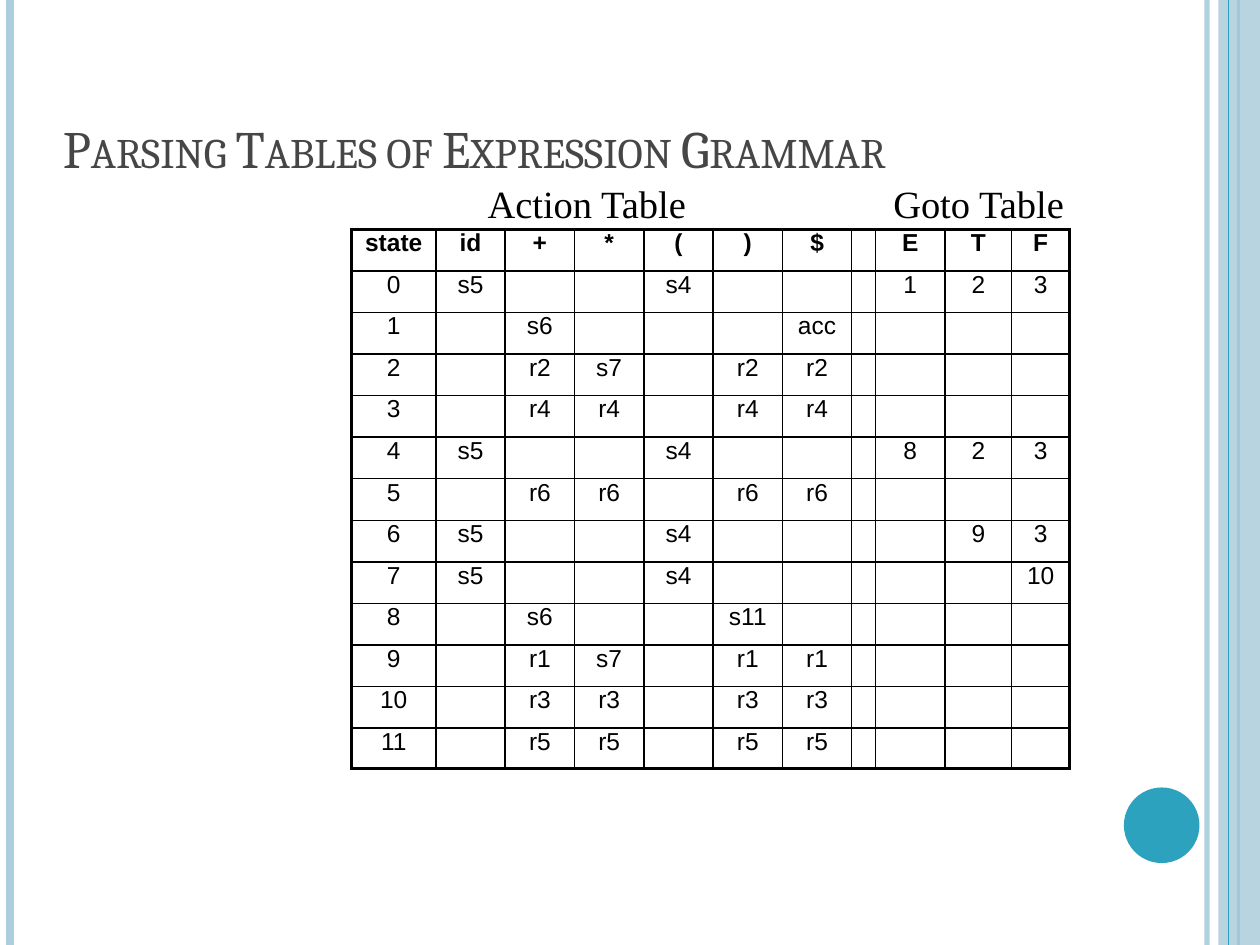
from dataclasses import dataclass

from lxml.etree import SubElement
from pptx import Presentation
from pptx.dml.color import RGBColor
from pptx.enum.shapes import MSO_CONNECTOR, MSO_SHAPE
from pptx.enum.text import MSO_ANCHOR, PP_ALIGN
from pptx.oxml.ns import qn
from pptx.util import Inches, Pt

COLORS = {"pale": "ADCEDC", "teal": "2DA2BF", "title": "464646", "ink": "000000"}
THIN, THICK = 1, 2.25
COL_WIDTHS = [0.67] + [0.55] * 6 + [0.19, 0.55, 0.53, 0.46]
ROW_HEIGHTS = [0.33] * 12 + [0.32]
HEADER = ["state", "id", "+", "*", "(", ")", "$", "", "E", "T", "F"]
STATES = [
    {"id": "s5", "(": "s4", "E": "1", "T": "2", "F": "3"},
    {"+": "s6", "$": "acc"},
    {"+": "r2", "*": "s7", ")": "r2", "$": "r2"},
    {"+": "r4", "*": "r4", ")": "r4", "$": "r4"},
    {"id": "s5", "(": "s4", "E": "8", "T": "2", "F": "3"},
    {"+": "r6", "*": "r6", ")": "r6", "$": "r6"},
    {"id": "s5", "(": "s4", "T": "9", "F": "3"},
    {"id": "s5", "(": "s4", "F": "10"},
    {"+": "s6", ")": "s11"},
    {"+": "r1", "*": "s7", ")": "r1", "$": "r1"},
    {"+": "r3", "*": "r3", ")": "r3", "$": "r3"},
    {"+": "r5", "*": "r5", ")": "r5", "$": "r5"},
]


@dataclass
class Stripe:
    x: float
    width: float
    color: str
    alpha: int = 100


@dataclass
class Label:
    text: str
    x: float
    y: float
    w: float
    h: float
    size: int
    font: str
    color: str = "ink"
    small_caps: bool = False


OUTER_STRIPES = [Stripe(9.58, 3, "pale", 93), Stripe(0.08, 4.5, "pale"), Stripe(9.83, 1.5, "teal")]
INNER_STRIPE = Stripe(9.75, 0.75, "teal")
TITLE = Label("Parsing Tables of Expression Grammar", 0.5, 0.3, 8.17, 1.12, 30, "Cambria", "title", True)
CAPTIONS = [
    Label("Action Table", 3.87, 1.43, 1.61, 0.37, 22, "Times New Roman"),
    Label("Goto Table", 7.09, 1.43, 1.4, 0.37, 22, "Times New Roman"),
]


def rgb(name: str) -> RGBColor:
    return RGBColor.from_string(COLORS[name])


def set_alpha(element, percent: int) -> None:
    clr = next(element.iter(qn("a:srgbClr")))
    SubElement(clr, qn("a:alpha"), val=str(percent * 1000))


def add_stripe(s, stripe: Stripe) -> None:
    x = Inches(stripe.x)
    line = s.shapes.add_connector(MSO_CONNECTOR.STRAIGHT, x, 0, x, Inches(7.5))
    line.line.color.rgb = rgb(stripe.color)
    line.line.width = Pt(stripe.width)
    if stripe.alpha < 100:
        set_alpha(line.line._ln, stripe.alpha)
    SubElement(line._element.spPr, qn("a:effectLst"))


def add_solid(s, kind, x: float, y: float, w: float, h: float, color: str):
    sp = s.shapes.add_shape(kind, Inches(x), Inches(y), Inches(w), Inches(h))
    sp.shadow.inherit = False
    sp.fill.solid()
    sp.fill.fore_color.rgb = rgb(color)
    sp.line.fill.background()
    return sp


def add_run(p, text: str, size: int, font: str, color: str, bold: bool = False):
    r = p.add_run()
    r.text = text
    r.font.size = Pt(size)
    r.font.name = font
    r.font.bold = bold
    r.font.color.rgb = rgb(color)
    return r


def add_label(s, label: Label) -> None:
    sp = s.shapes.add_textbox(Inches(label.x), Inches(label.y), Inches(label.w), Inches(label.h))
    tf = sp.text_frame
    tf.word_wrap = True
    tf.margin_left = tf.margin_right = tf.margin_top = tf.margin_bottom = 0
    if label.small_caps:
        tf.vertical_anchor = MSO_ANCHOR.BOTTOM
    r = add_run(tf.paragraphs[0], label.text, label.size, label.font, label.color)
    if label.small_caps:
        r._r.get_or_add_rPr().set("cap", "small")


def set_borders(cell, widths: dict[str, float]) -> None:
    tcPr = cell._tc.get_or_add_tcPr()
    for side, width in widths.items():
        ln = SubElement(tcPr, qn(f"a:ln{side}"), w=str(Pt(width)))
        fill = SubElement(ln, qn("a:solidFill"))
        SubElement(fill, qn("a:srgbClr"), val=COLORS["ink"])


def add_parsing_table(s) -> None:
    rows = [HEADER]
    for number, actions in enumerate(STATES):
        rows.append([str(number)] + [actions.get(symbol, "") for symbol in HEADER[1:]])
    last_row, last_col = len(rows) - 1, len(HEADER) - 1
    frame = s.shapes.add_table(
        len(rows), len(HEADER), Inches(2.79), Inches(1.82),
        Inches(sum(COL_WIDTHS)), Inches(sum(ROW_HEIGHTS)))
    table = frame.table
    table.first_row = table.horz_banding = False
    for column, width in zip(table.columns, COL_WIDTHS):
        column.width = Inches(width)
    for row, height in zip(table.rows, ROW_HEIGHTS):
        row.height = Inches(height)
    for i, values in enumerate(rows):
        for j, text in enumerate(values):
            cell = table.cell(i, j)
            cell.margin_left = cell.margin_right = cell.margin_top = cell.margin_bottom = 0
            set_borders(cell, {
                "L": THICK if j == 0 else THIN,
                "R": THICK if j == last_col else THIN,
                "T": THICK if i == 0 else THIN,
                "B": THICK if i == last_row else THIN,
            })
            cell.fill.background()
            p = cell.text_frame.paragraphs[0]
            p.alignment = PP_ALIGN.CENTER
            p.font.size = Pt(14)
            if text:
                add_run(p, text, 14, "Arial", "ink", bold=i == 0)


def main() -> None:
    """Build the slide with the expression grammar's action and goto tables."""
    prs = Presentation()
    prs.slide_width, prs.slide_height = Inches(10), Inches(7.5)
    s = prs.slides.add_slide(prs.slide_layouts[6])
    for stripe in OUTER_STRIPES:
        add_stripe(s, stripe)
    band = add_solid(s, MSO_SHAPE.RECTANGLE, 9.67, 0, 0.33, 7.5, "pale")
    set_alpha(band._element.spPr, 87)
    add_stripe(s, INNER_STRIPE)
    add_solid(s, MSO_SHAPE.OVAL, 8.92, 6.25, 0.6, 0.6, "teal")
    add_label(s, TITLE)
    add_parsing_table(s)
    for caption in CAPTIONS:
        add_label(s, caption)
    prs.save("out.pptx")


if __name__ == "__main__":
    main()
